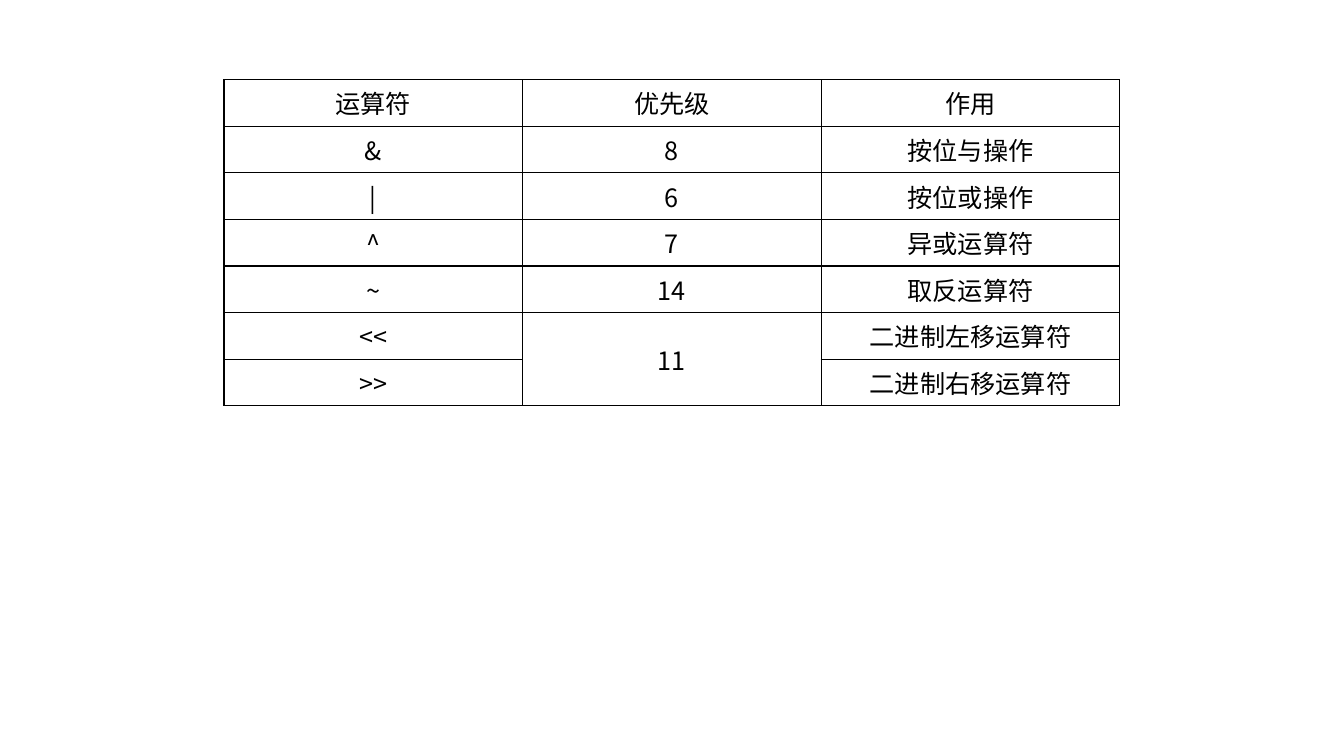
from dataclasses import dataclass

from lxml import etree
from pptx import Presentation
from pptx.dml.color import RGBColor
from pptx.enum import text
from pptx.oxml import ns
from pptx.util import Pt

# Content: a None cell continues the cell above it
ROWS = [
    ("运算符", "优先级", "作用"),
    ("&", "8", "按位与操作"),
    ("|", "6", "按位或操作"),
    ("^", "7", "异或运算符"),
    ("~", "14", "取反运算符"),
    ("<<", "11", "二进制左移运算符"),
    (">>", None, "二进制右移运算符"),
]


@dataclass(frozen=True)
class Theme:
    font: str = "Noto Sans CJK SC"
    size: int = 18
    ink: str = "000000"
    paper: str = "FFFFFF"
    border: int = 1


THEME = Theme()
SLIDE_WIDTH, SLIDE_HEIGHT = 960, 540
TABLE_WIDTH, TABLE_TOP, ROW_HEIGHT = 640, 56.9, 29.2


def add_borders(cell):
    """Draw all four edges; they must precede the cell fill in the XML."""
    properties = cell._tc.get_or_add_tcPr()
    for index, edge in enumerate(("lnL", "lnR", "lnT", "lnB")):
        line = etree.Element(ns.qn(f"a:{edge}"), w=str(Pt(THEME.border)))
        fill = etree.SubElement(line, ns.qn("a:solidFill"))
        etree.SubElement(fill, ns.qn("a:srgbClr"), val=THEME.ink)
        properties.insert(index, line)


def format_cell(cell):
    cell.fill.solid()
    cell.fill.fore_color.rgb = RGBColor.from_string(THEME.paper)
    cell.vertical_anchor = text.MSO_ANCHOR.MIDDLE
    add_borders(cell)
    paragraph = cell.text_frame.paragraphs[0]
    paragraph.alignment = text.PP_ALIGN.CENTER
    for run in paragraph.runs:
        run.font.size = Pt(THEME.size)
        run.font.name = THEME.font
        run.font.color.rgb = RGBColor.from_string(THEME.ink)
        east_asian = etree.Element(ns.qn("a:ea"), typeface=THEME.font)
        run.font._element.find(ns.qn("a:latin")).addnext(east_asian)


# Slide
presentation = Presentation()
presentation.slide_width = Pt(SLIDE_WIDTH)
presentation.slide_height = Pt(SLIDE_HEIGHT)
slide = presentation.slides.add_slide(presentation.slide_layouts[6])

# Operator table, centred across the slide
table = slide.shapes.add_table(
    len(ROWS), len(ROWS[0]),
    Pt((SLIDE_WIDTH - TABLE_WIDTH) / 2), Pt(TABLE_TOP),
    Pt(TABLE_WIDTH), Pt(ROW_HEIGHT * len(ROWS)),
).table
table.first_row = table.horz_banding = False

for row_index, row in enumerate(ROWS):
    table.rows[row_index].height = Pt(ROW_HEIGHT)
    for column_index, value in enumerate(row):
        cell = table.cell(row_index, column_index)
        if value is None:
            table.cell(row_index - 1, column_index).merge(cell)
        else:
            cell.text_frame.text = value
        format_cell(cell)

presentation.save("out.pptx")
